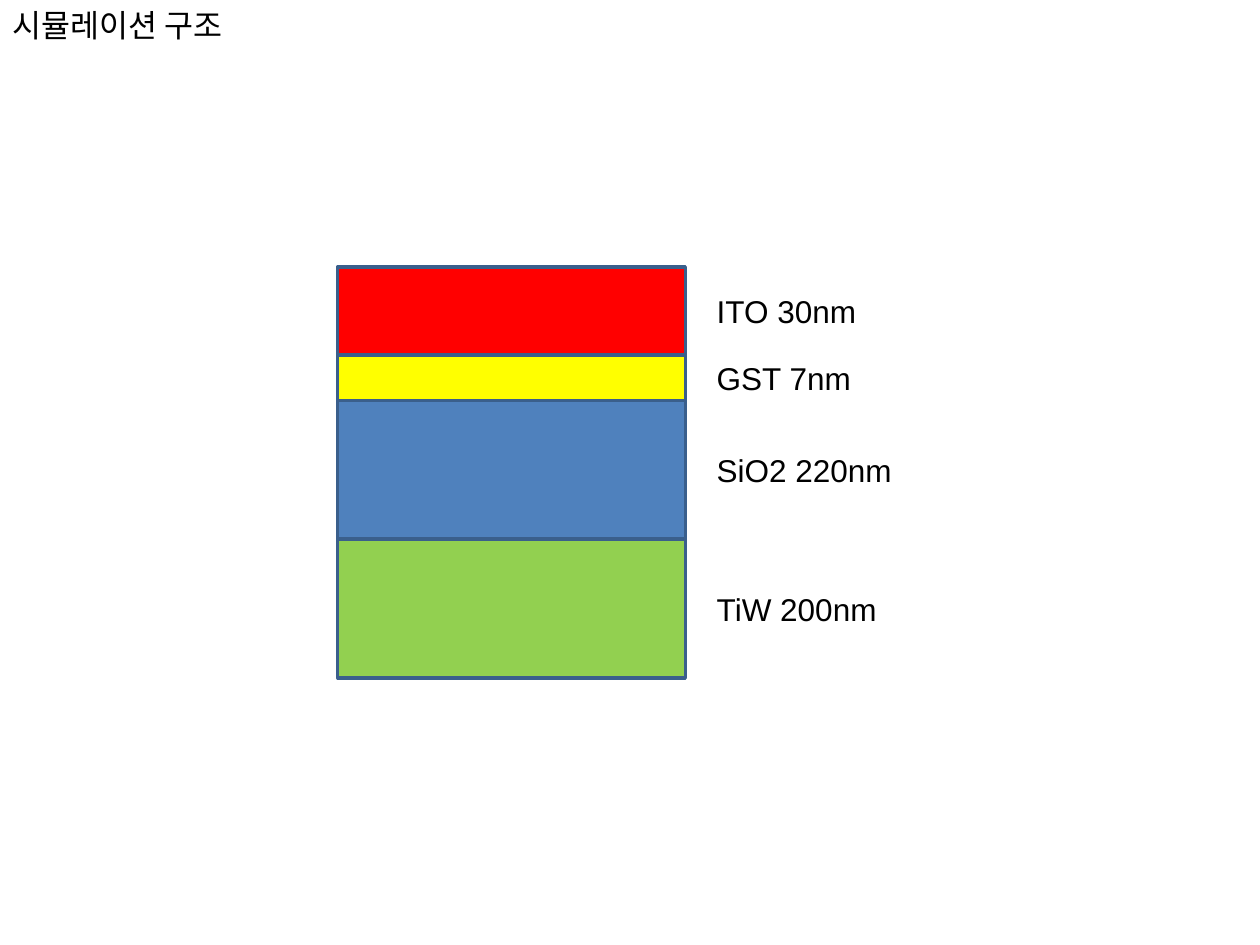
from pptx import Presentation
from pptx import util as u
from pptx.dml.color import RGBColor
from pptx.enum import shapes, text

TITLE = "시뮬레이션 구조"
# Layers from top to bottom: label, colour name, drawn height in inches
LAYERS = [
    ("ITO 30nm", "red", 0.7),
    ("GST 7nm", "yellow", 0.36),
    ("SiO2 220nm", "blue", 1.1),
    ("TiW 200nm", "green", 1.1),
]
COLOURS = {
    "red": "FF0000",
    "yellow": "FFFF00",
    "blue": "4F81BD",
    "green": "92D050",
    "outline": "3A5F8C",
    "text": "000000",
}
STACK_LEFT, STACK_TOP, STACK_WIDTH = 2.68, 2.12, 2.76
LABEL_LEFT, LABEL_WIDTH, TEXT_HEIGHT = 5.59, 1.73, 0.4


def colour(name):
    """Return the named colour."""
    return RGBColor.from_string(COLOURS[name])


def add_text(parent, words, left, top, width):
    """Add one line of 18 pt text."""
    box = parent.add_textbox(*map(u.Inches, (left, top, width, TEXT_HEIGHT)))
    frame = box.text_frame
    frame.word_wrap = True
    frame.auto_size = text.MSO_AUTO_SIZE.SHAPE_TO_FIT_TEXT
    run = frame.paragraphs[0].add_run()
    run.text = words
    run.font.name = "Arial"
    run.font.size = u.Pt(18)
    run.font.color.rgb = colour("text")


def add_layer(parent, fill, top, height):
    """Add one outlined layer of the stack."""
    shape = parent.add_shape(
        shapes.MSO_SHAPE.RECTANGLE,
        *map(u.Inches, (STACK_LEFT, top, STACK_WIDTH, height)))
    shape.shadow.inherit = False
    shape.fill.solid()
    shape.fill.fore_color.rgb = colour(fill)
    shape.line.color.rgb = colour("outline")
    shape.line.width = u.Pt(2)


presentation = Presentation()
presentation.slide_width = u.Inches(10)
presentation.slide_height = u.Inches(7.5)
slide = presentation.slides.add_slide(presentation.slide_layouts[6])

add_text(slide.shapes, TITLE, 0, 0, 10)

stack = slide.shapes.add_group_shape().shapes
layer_top = STACK_TOP
for label, fill, height in LAYERS:
    add_layer(stack, fill, layer_top, height)
    label_top = layer_top + (height - TEXT_HEIGHT) / 2
    add_text(stack, label, LABEL_LEFT, label_top, LABEL_WIDTH)
    layer_top += height

presentation.save("out.pptx")
